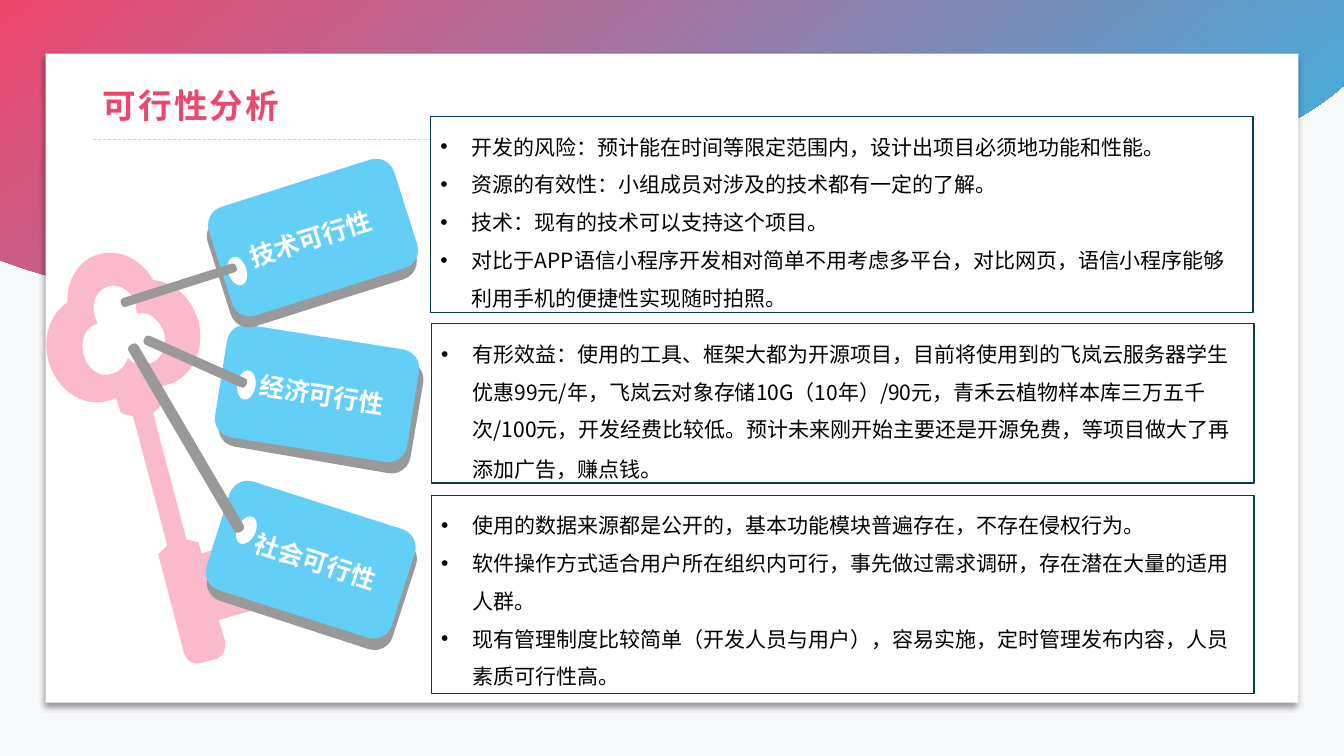
from dataclasses import dataclass

from lxml.etree import SubElement
from pptx import Presentation
from pptx.dml.color import RGBColor
from pptx.enum.dml import MSO_LINE
from pptx.enum.shapes import MSO_CONNECTOR, MSO_SHAPE
from pptx.enum.text import MSO_ANCHOR, MSO_AUTO_SIZE, PP_ALIGN
from pptx.oxml.ns import qn
from pptx.util import Cm, Pt

COLORS = {
    "bg": "F8F9FB", "red": "EE476E", "blue": "2DBAEA", "white": "FFFFFF",
    "rule": "D0CECE", "navy": "073A4B", "black": "000000",
    "pink": "FBB9CC", "grey": "999999", "sky": "63CFF6",
}
CJK = "Noto Sans CJK SC"
UNITS = 1000

WAVE = [[
    (0, 0), (0, 2.58), (1.22, 3.04, 2.66, 3.11, 3.93, 2.74),
    (5.3, 2.35, 6.48, 1.51, 7.92, 1.36), (9.36, 1.21, 10.88, 1.8, 12.27, 1.42),
    (12.67, 1.31, 13.04, 1.11, 13.33, 0.85), (13.33, 0),
]]
KEY = [
    [(0.48, 3.58), (0.56, 3.87, 0.82, 4.04, 1.06, 3.98),
     (1.1, 3.97, 1.12, 3.96, 1.15, 3.94), (1.2, 4.1), (1.32, 4.13),
     (1.66, 5.41), (1.57, 5.5), (1.82, 6.46),
     (1.84, 6.54, 1.91, 6.6, 1.98, 6.58), (2.14, 6.54),
     (2.21, 6.52, 2.25, 6.44, 2.23, 6.35), (2.17, 6.15), (2.49, 6.06),
     (2.55, 6.05, 2.59, 5.96, 2.57, 5.89), (2.55, 5.8, 2.47, 5.76, 2.41, 5.77),
     (2.09, 5.86), (2.07, 5.78), (2.39, 5.69),
     (2.45, 5.67, 2.5, 5.59, 2.48, 5.51), (2.45, 5.43, 2.38, 5.39, 2.31, 5.4),
     (2, 5.49), (1.97, 5.38), (1.85, 5.35), (1.52, 4.1), (1.61, 4.01),
     (1.56, 3.84), (1.59, 3.84, 1.63, 3.83, 1.65, 3.82),
     (1.9, 3.76, 2.04, 3.48, 1.97, 3.19), (1.9, 2.95, 1.72, 2.79, 1.52, 2.78),
     (1.41, 2.58, 1.2, 2.47, 0.99, 2.52), (0.79, 2.57, 0.66, 2.77, 0.67, 3),
     (0.5, 3.11, 0.42, 3.34, 0.48, 3.58)],
    [(1.08, 2.84), (1.19, 2.81, 1.31, 2.89, 1.35, 3.02),
     (1.35, 3.05, 1.35, 3.08, 1.36, 3.11), (1.47, 3.08, 1.59, 3.17, 1.63, 3.31),
     (1.66, 3.44, 1.6, 3.58, 1.48, 3.61), (1.4, 3.64, 1.32, 3.61, 1.27, 3.55),
     (1.24, 3.63, 1.19, 3.69, 1.11, 3.71), (0.99, 3.75, 0.86, 3.66, 0.83, 3.52),
     (0.79, 3.38, 0.85, 3.24, 0.97, 3.21), (0.95, 3.18, 0.95, 3.16, 0.94, 3.13),
     (0.9, 3, 0.96, 2.87, 1.08, 2.84)],
]


@dataclass
class Panel:
    left: float
    top: float
    height: float
    items: list[str]
    end: str = ""


@dataclass
class Tag:
    label: str
    back: tuple
    face: tuple
    hole: tuple
    bar: tuple
    insets: tuple


PANELS = [
    Panel(10.85, 2.94, 4.93, [
        "开发的风险：预计能在时间等限定范围内，设计出项目必须地功能和性能。",
        "资源的有效性：小组成员对涉及的技术都有一定的了解。",
        "技术：现有的技术可以支持这个项目。",
        "对比于APP语信小程序开发相对简单不用考虑多平台，对比网页，语信小程序能够利用手机的便捷性实现随时拍照。"]),
    Panel(10.87, 8.16, 4.01, [
        "有形效益：使用的工具、框架大都为开源项目，目前将使用到的飞岚云服务器学生优惠99元/年，"
        "飞岚云对象存储10G（10年）/90元，青禾云植物样本库三万五千次/100元，开发经费比较低。"
        "预计未来刚开始主要还是开源免费，等项目做大了再添加广告，赚点钱"], "。"),
    Panel(10.87, 12.48, 5, [
        "使用的数据来源都是公开的，基本功能模块普遍存在，不存在侵权行为。",
        "软件操作方式适合用户所在组织内可行，事先做过需求调研，存在潜在大量的适用人群。",
        "现有管理制度比较简单（开发人员与用户），容易实施，定时管理发布内容，人员素质可行性高。"]),
]
TAGS = [
    Tag("社会可行性", (5.41, 12.95, 18), (5.38, 12.67, 17.7),
        (5.84, 13.13, 296.1), (4.55, 8.31, 0.28, 5.46, 329.6), (0.5, 0.25)),
    Tag("经济可行性", (5.64, 8.74, 9.8), (5.54, 8.48, 9),
        (5.84, 9.47, 279.4), (4.8, 7.7, 0.25, 2.82, 294), (0.5, 0.25)),
    Tag("技术可行性", (5.41, 4.83, 342.4), (5.44, 4.55, 342.4),
        (5.61, 6.6, 252.4), (4.39, 5.66, 0.23, 3.05, 252.4), (0.25, 0.4)),
]


def rgb(name: str) -> RGBColor:
    """Look up a palette colour."""
    return RGBColor.from_string(COLORS[name])


def add_text(p, text: str, *, size: float, color: str, bold=False, font=CJK, spacing=0):
    """Append a formatted run to a paragraph."""
    r = p.add_run()
    r.text = text
    f = r.font
    f.size, f.bold, f.name = Pt(size), bold, font
    f.color.rgb = rgb(color)
    rpr = r._r.get_or_add_rPr()
    SubElement(rpr, qn("a:ea"), typeface=CJK)
    if spacing:
        rpr.set("spc", str(spacing))


def add_box(s, kind, left: float, top: float, width: float, height: float,
            fill: str, rotation: float = 0):
    """Draw a borderless preset shape, in centimetres."""
    sp = s.shapes.add_shape(kind, Cm(left), Cm(top), Cm(width), Cm(height))
    sp.shadow.inherit = False
    sp.fill.solid()
    sp.fill.fore_color.rgb = rgb(fill)
    sp.line.fill.background()
    sp.rotation = rotation
    return sp


def corners(contour: list[tuple]) -> list[tuple]:
    """List the anchor and control points of a contour in drawing units."""
    return [(seg[i] * UNITS, seg[i + 1] * UNITS)
            for seg in contour for i in range(0, len(seg), 2)]


def add_outline(s, contours: list[list[tuple]]):
    """Draw a borderless freeform whose six-number segments are cubic curves."""
    fb = s.shapes.build_freeform(*corners(contours[0])[0], scale=Cm(2.54) / UNITS)
    for i, contour in enumerate(contours):
        start, *rest = corners(contour)
        if i:
            fb.move_to(*start)
        fb.add_line_segments(rest)
    sp = fb.convert_to_shape()
    sp.shadow.inherit = False
    sp.line.fill.background()
    outline = sp._element.spPr.find(".//" + qn("a:path"))
    nodes = iter(list(outline))
    for contour in contours:
        next(nodes)
        for seg in contour[1:]:
            curve, *extra = [next(nodes) for _ in range(len(seg) // 2)]
            if extra:
                curve.tag = qn("a:cubicBezTo")
            for node in extra:
                curve.append(node[0])
                outline.remove(node)
        next(nodes)
    return sp


def add_backdrop(s) -> None:
    """Draw the wave, the white card and the dashed rule."""
    s.background.fill.solid()
    s.background.fill.fore_color.rgb = rgb("bg")
    wave = add_outline(s, WAVE)
    wave.fill.gradient()
    wave.fill.gradient_angle = 310
    for stop, name in zip(wave.fill.gradient_stops, ("red", "blue")):
        stop.color.rgb = rgb(name)
    card = add_box(s, MSO_SHAPE.RECTANGLE, 1.15, 1.35, 31.57, 16.36, "white")
    effects = card._element.spPr.find(qn("a:effectLst"))
    shadow = SubElement(effects, qn("a:outerShdw"), blurRad=str(Pt(4)), dist=str(Pt(3)),
                        dir="5400000", algn="t", rotWithShape="0")
    tint = SubElement(shadow, qn("a:srgbClr"), val=COLORS["black"])
    SubElement(tint, qn("a:alpha"), val="40000")
    rule = s.shapes.add_connector(MSO_CONNECTOR.STRAIGHT, Cm(2.34), Cm(3.5), Cm(31.57), Cm(3.5))
    rule.line.color.rgb = rgb("rule")
    rule.line.width = Pt(0.5)
    rule.line.dash_style = MSO_LINE.DASH
    SubElement(rule._element.spPr, qn("a:effectLst"))


def add_title(s, text: str) -> None:
    """Place the title placeholder above the card."""
    sp = s.shapes.title
    sp.element.getparent().append(sp.element)
    sp.left, sp.top, sp.width, sp.height = Cm(2.34), Cm(1.9), Cm(29.21), Cm(1.63)
    tf = sp.text_frame
    tf.auto_size, tf.vertical_anchor = MSO_AUTO_SIZE.NONE, MSO_ANCHOR.MIDDLE
    p = tf.paragraphs[0]
    p.alignment, p.line_spacing = PP_ALIGN.LEFT, 0.9
    add_text(p, text, size=24, color="red", bold=True, spacing=150)


def add_panel(s, panel: Panel) -> None:
    """Draw a bordered box of bulleted text."""
    sp = add_box(s, MSO_SHAPE.RECTANGLE, panel.left, panel.top, 20.73, panel.height, "white")
    sp.line.color.rgb = rgb("navy")
    sp.line.width = Pt(1)
    tf = sp.text_frame
    tf.word_wrap, tf.vertical_anchor = True, MSO_ANCHOR.TOP
    for i, item in enumerate(panel.items):
        p = tf.add_paragraph() if i else tf.paragraphs[0]
        p.alignment, p.line_spacing = PP_ALIGN.LEFT, 1.5
        ppr = p._p.get_or_add_pPr()
        ppr.set("marL", str(Cm(0.79)))
        ppr.set("indent", str(-Cm(0.79)))
        SubElement(ppr, qn("a:buFont"), typeface="Arial")
        SubElement(ppr, qn("a:buChar"), char="•")
        add_text(p, item, size=15, color="black")
    if panel.end:
        add_text(p, panel.end, size=16, color="black")


def add_tag(s, tag: Tag) -> None:
    """Draw a key tag with its shade, hole and bar."""
    for (left, top, angle), fill in ((tag.back, "grey"), (tag.face, "sky")):
        sp = add_box(s, MSO_SHAPE.ROUNDED_RECTANGLE, left, top, 4.9, 2.87, fill, angle)
    tf = sp.text_frame
    tf.word_wrap, tf.vertical_anchor = True, MSO_ANCHOR.MIDDLE
    tf.margin_left, tf.margin_right = map(Cm, tag.insets)
    p = tf.paragraphs[0]
    p.alignment = PP_ALIGN.CENTER
    add_text(p, tag.label, size=18, color="white", bold=True, font="Arial")
    left, top, angle = tag.hole
    add_box(s, MSO_SHAPE.OVAL, left, top, 0.74, 0.46, "white", angle)
    *frame, angle = tag.bar
    bar = add_box(s, MSO_SHAPE.ROUNDED_RECTANGLE, *frame, "grey", angle)
    bar.adjustments[0] = 0.385


def main() -> None:
    """Build and save the slide."""
    prs = Presentation()
    prs.slide_width, prs.slide_height = Cm(33.87), Cm(19.05)
    s = prs.slides.add_slide(prs.slide_layouts[5])
    add_backdrop(s)
    add_title(s, "可行性分析")
    for panel in PANELS:
        add_panel(s, panel)
    key = add_outline(s, KEY)
    key.fill.solid()
    key.fill.fore_color.rgb = rgb("pink")
    for tag in TAGS:
        add_tag(s, tag)
    prs.save("out.pptx")


if __name__ == "__main__":
    main()
